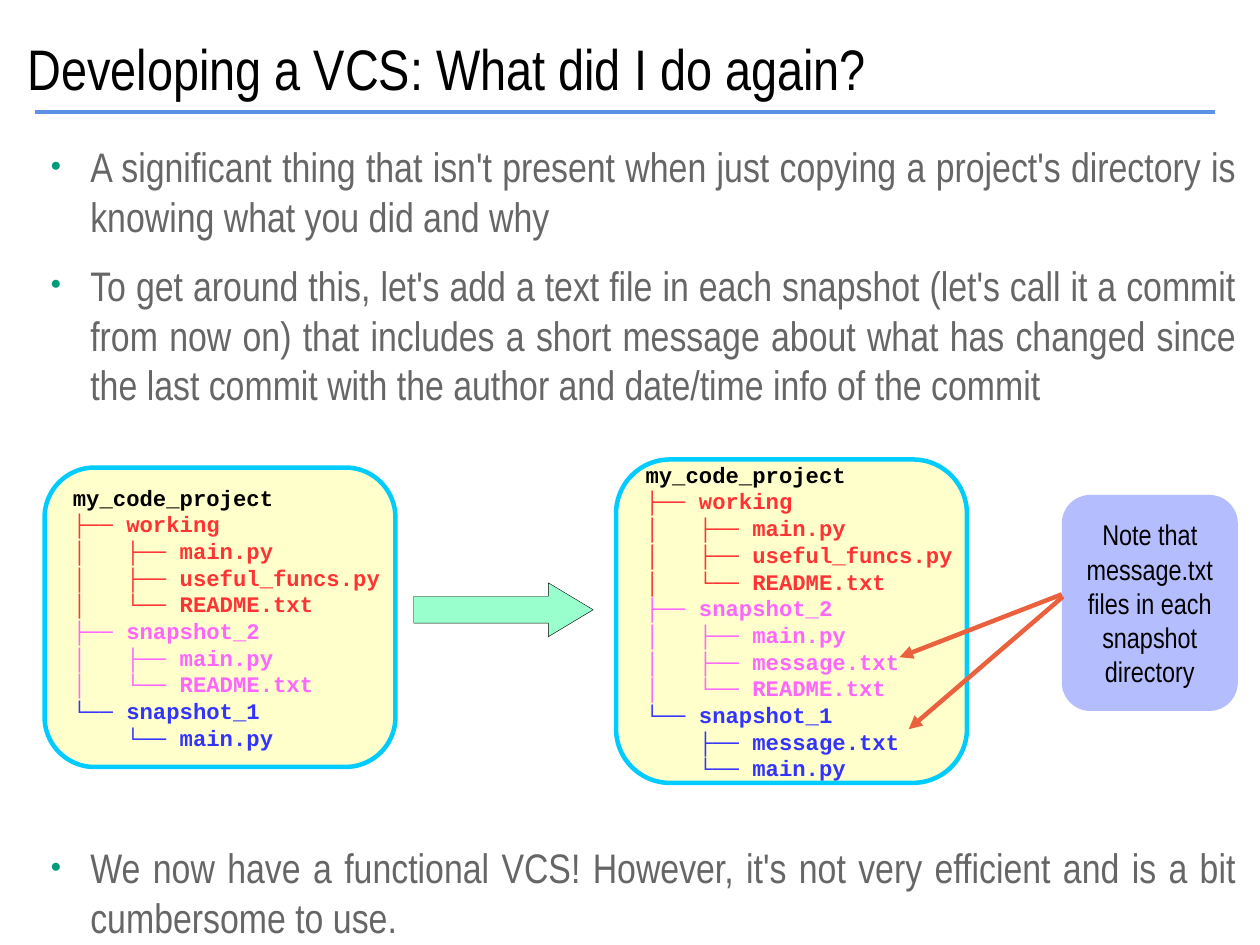
"""Build the slide on adding commit messages to a home-made VCS."""
from dataclasses import dataclass
from typing import Iterator, NamedTuple

from lxml import etree
from pptx import Presentation
from pptx.dml.color import RGBColor
from pptx.enum.shapes import MSO_CONNECTOR, MSO_SHAPE
from pptx.enum.text import MSO_ANCHOR, PP_ALIGN
from pptx.oxml.ns import qn
from pptx.util import Inches, Pt

STRAIGHT = MSO_CONNECTOR.STRAIGHT
ROUNDED, RIGHT_ARROW = MSO_SHAPE.ROUNDED_RECTANGLE, MSO_SHAPE.RIGHT_ARROW
TOP, MIDDLE = MSO_ANCHOR.TOP, MSO_ANCHOR.MIDDLE
LEFT, CENTER, JUSTIFY = PP_ALIGN.LEFT, PP_ALIGN.CENTER, PP_ALIGN.JUSTIFY


class Style(NamedTuple):
    font: str
    size: float
    color: str
    bold: bool = False


@dataclass(frozen=True)
class Theme:
    title: Style = Style("Arial Narrow", 36, "000000")
    body: Style = Style("Arial Narrow", 26, "666666")
    note: Style = Style("Arial Narrow", 18, "000000")
    tree: Style = Style("Courier New", 14, "000000", True)
    bullet: str = "009C79"
    rule: str = "5B92E6"
    pointer: str = "EB613D"
    step_fill: str = "99FFCC"
    step_line: str = "000000"
    note_fill: str = "B4BEFF"
    project_fill: str = "FFFFCC"
    project_line: str = "00CCFF"
    working: str = "FF3333"
    second: str = "FF66FF"
    first: str = "3333FF"
    stroke: float = 2.83


class Box(NamedTuple):
    left: float
    top: float
    width: float
    height: float


class Line(NamedTuple):
    start: tuple[float, float]
    end: tuple[float, float]
    color: str
    arrow: bool = False


class Folder(NamedTuple):
    name: str
    color: str
    files: list[str]


class Project(NamedTuple):
    box: Box
    folders: list[Folder]


THEME = Theme()
WORKING = Folder("working", THEME.working, ["main.py", "useful_funcs.py", "README.txt"])
PROJECTS = [
    Project(Box(0.39, 4.09, 3.07, 2.62), [
        WORKING,
        Folder("snapshot_2", THEME.second, ["main.py", "README.txt"]),
        Folder("snapshot_1", THEME.first, ["main.py"]),
    ]),
    Project(Box(5.39, 4.02, 3.07, 2.83), [
        WORKING,
        Folder("snapshot_2", THEME.second, ["main.py", "message.txt", "README.txt"]),
        Folder("snapshot_1", THEME.first, ["message.txt", "main.py"]),
    ]),
]
BODY = [
    (Box(0.32, 1.24, 10.51, 2.4), [
        "A significant thing that isn't present when just copying a project's "
        "directory is knowing what you did and why",
        "To get around this, let's add a text file in each snapshot (let's call it "
        "a commit from now on) that includes a short message about what has changed "
        "since the last commit with the author and date/time info of the commit",
    ]),
    (Box(0.32, 7.37, 10.51, 0.88), [
        "We now have a functional VCS! However, it's not very efficient and is a "
        "bit cumbersome to use.",
    ]),
]
LINES = [
    Line((0.31, 0.98), (10.63, 0.98), THEME.rule),
    Line((9.29, 5.2), (7.87, 5.75), THEME.pointer, True),
    Line((9.3, 5.22), (7.95, 6.38), THEME.pointer, True),
]


def set_frame(frame, anchor, wrap: bool = True, inset_x: float = 0, inset_y: float = 0) -> None:
    """Set the anchor, wrapping and insets of a text frame."""
    frame.word_wrap, frame.vertical_anchor = wrap, anchor
    frame.margin_left = frame.margin_right = Inches(inset_x)
    frame.margin_top = frame.margin_bottom = Inches(inset_y)


def add_paragraph(frame, index: int, text: str, style: Style, align):
    """Write one styled run into the paragraph at the index and return the paragraph."""
    paragraph = frame.add_paragraph() if index else frame.paragraphs[0]
    paragraph.alignment = align
    run = paragraph.add_run()
    run.text = text
    run.font.name, run.font.size, run.font.bold = style.font, Pt(style.size), style.bold
    run.font.color.rgb = RGBColor.from_string(style.color)
    return paragraph


def add_bullet(paragraph) -> None:
    """Give a paragraph a small round bullet with a hanging indent."""
    properties = paragraph._p.get_or_add_pPr()
    properties.set("marL", str(Inches(0.47)))
    properties.set("indent", str(Inches(-0.35)))
    color = etree.SubElement(properties, qn("a:buClr"))
    etree.SubElement(color, qn("a:srgbClr"), val=THEME.bullet)
    etree.SubElement(properties, qn("a:buSzPct"), val="45000")
    etree.SubElement(properties, qn("a:buFont"), typeface=THEME.tree.font)
    etree.SubElement(properties, qn("a:buChar"), char="●")


def add_text(slide, box: Box, anchor):
    """Add a text box and return its frame."""
    frame = slide.shapes.add_textbox(*map(Inches, box)).text_frame
    set_frame(frame, anchor)
    return frame


def add_panel(slide, kind, box: Box, adjustments: list[float], fill: str,
              line: str | None = None, width: float = THEME.stroke):
    """Add a flat filled shape, outlined if a line colour is given."""
    shape = slide.shapes.add_shape(kind, *map(Inches, box))
    shape.shadow.inherit = False
    for index, value in enumerate(adjustments):
        shape.adjustments[index] = value
    shape.fill.solid()
    shape.fill.fore_color.rgb = RGBColor.from_string(fill)
    if line:
        shape.line.color.rgb = RGBColor.from_string(line)
        shape.line.width = Pt(width)
    else:
        shape.line.fill.background()
    return shape


def add_line(slide, line: Line) -> None:
    """Add a straight line, with an arrowhead at its end if asked."""
    connector = slide.shapes.add_connector(STRAIGHT, *map(Inches, line.start + line.end))
    connector.line.color.rgb = RGBColor.from_string(line.color)
    connector.line.width = Pt(THEME.stroke)
    if line.arrow:
        etree.SubElement(connector.line._get_or_add_ln(), qn("a:tailEnd"), type="triangle")
    etree.SubElement(connector._element.spPr, qn("a:effectLst"))


def tree_lines(folders: list[Folder]) -> Iterator[tuple[str, str]]:
    """Yield the text and colour of every line of a project's directory tree."""
    yield "my_code_project", THEME.tree.color
    for folder in folders:
        last_folder = folder is folders[-1]
        yield f"{'└' if last_folder else '├'}── {folder.name}", folder.color
        stem = (" " if last_folder else "│").ljust(4)
        for file in folder.files:
            branch = "└" if file == folder.files[-1] else "├"
            yield f"{stem}{branch}── {file}", folder.color


def add_project(slide, project: Project) -> None:
    """Add a panel that shows a project's directory tree."""
    panel = add_panel(slide, ROUNDED, project.box, [0.167],
                      THEME.project_fill, THEME.project_line)
    set_frame(panel.text_frame, MIDDLE, False, 0.12, 0.07)
    for index, (text, color) in enumerate(tree_lines(project.folders)):
        add_paragraph(panel.text_frame, index, text, THEME.tree._replace(color=color), LEFT)


def main() -> None:
    """Build and save the slide."""
    deck = Presentation()
    deck.slide_width = Inches(28 / 2.54)
    deck.slide_height = Inches(21 / 2.54)
    slide = deck.slides.add_slide(deck.slide_layouts[6])

    title = add_text(slide, Box(0.24, 0, 7.87, 1.18), MIDDLE)
    add_paragraph(title, 0, "Developing a VCS: What did I do again?", THEME.title, LEFT)
    for box, points in BODY:
        body = add_text(slide, box, TOP)
        for index, point in enumerate(points):
            paragraph = add_paragraph(body, index, point, THEME.body, JUSTIFY)
            paragraph.space_after = Pt(12.3)
            add_bullet(paragraph)

    add_panel(slide, RIGHT_ARROW, Box(3.62, 5.1, 1.57, 0.47), [0.5, 0.833],
              THEME.step_fill, THEME.step_line, 0.25)
    note = add_panel(slide, ROUNDED, Box(9.29, 4.33, 1.54, 1.89), [0.162], THEME.note_fill)
    set_frame(note.text_frame, MIDDLE)
    add_paragraph(note.text_frame, 0, "Note that message.txt files in each snapshot directory",
                  THEME.note, CENTER)
    for project in PROJECTS:
        add_project(slide, project)
    for line in LINES:
        add_line(slide, line)
    deck.save("out.pptx")


main()
